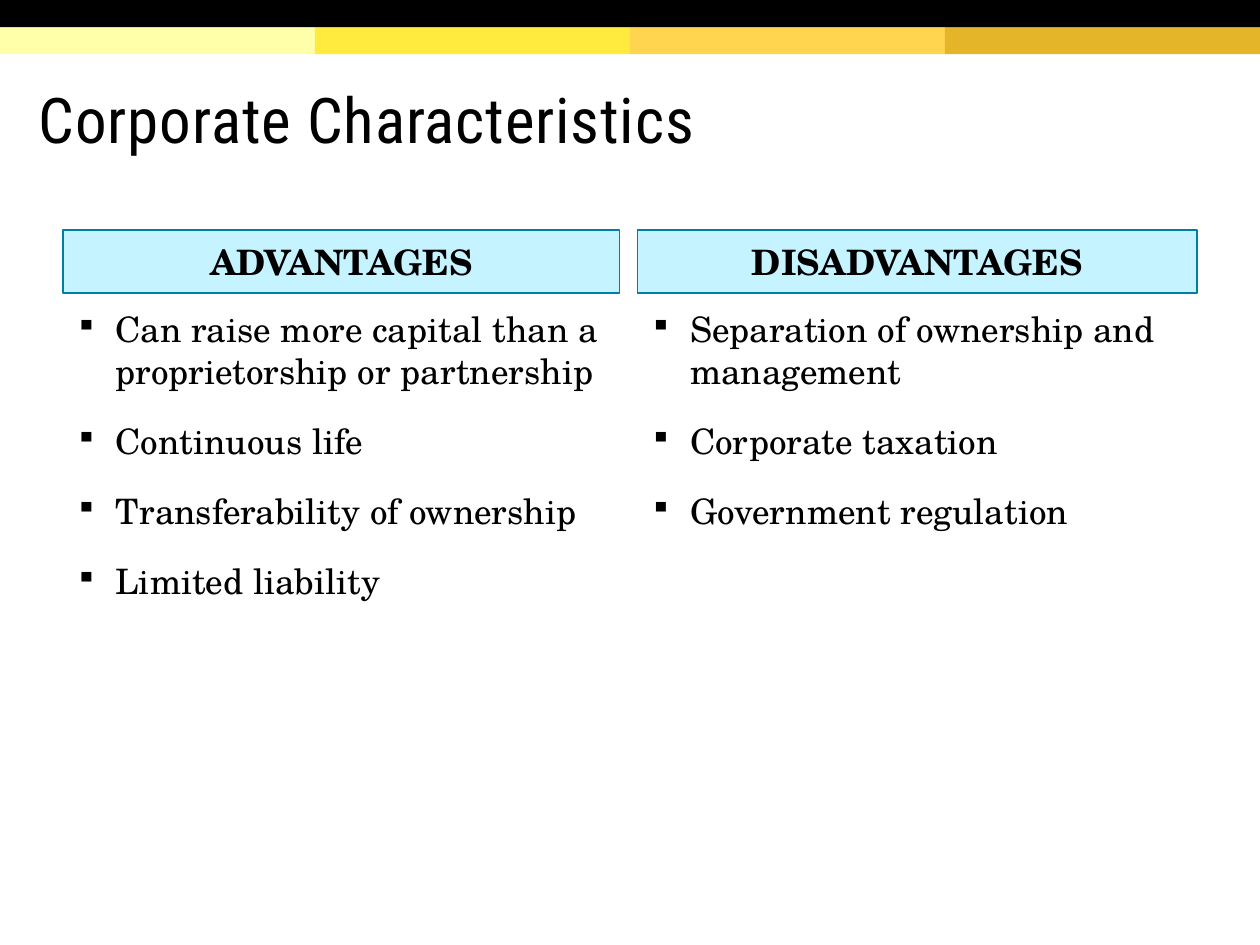
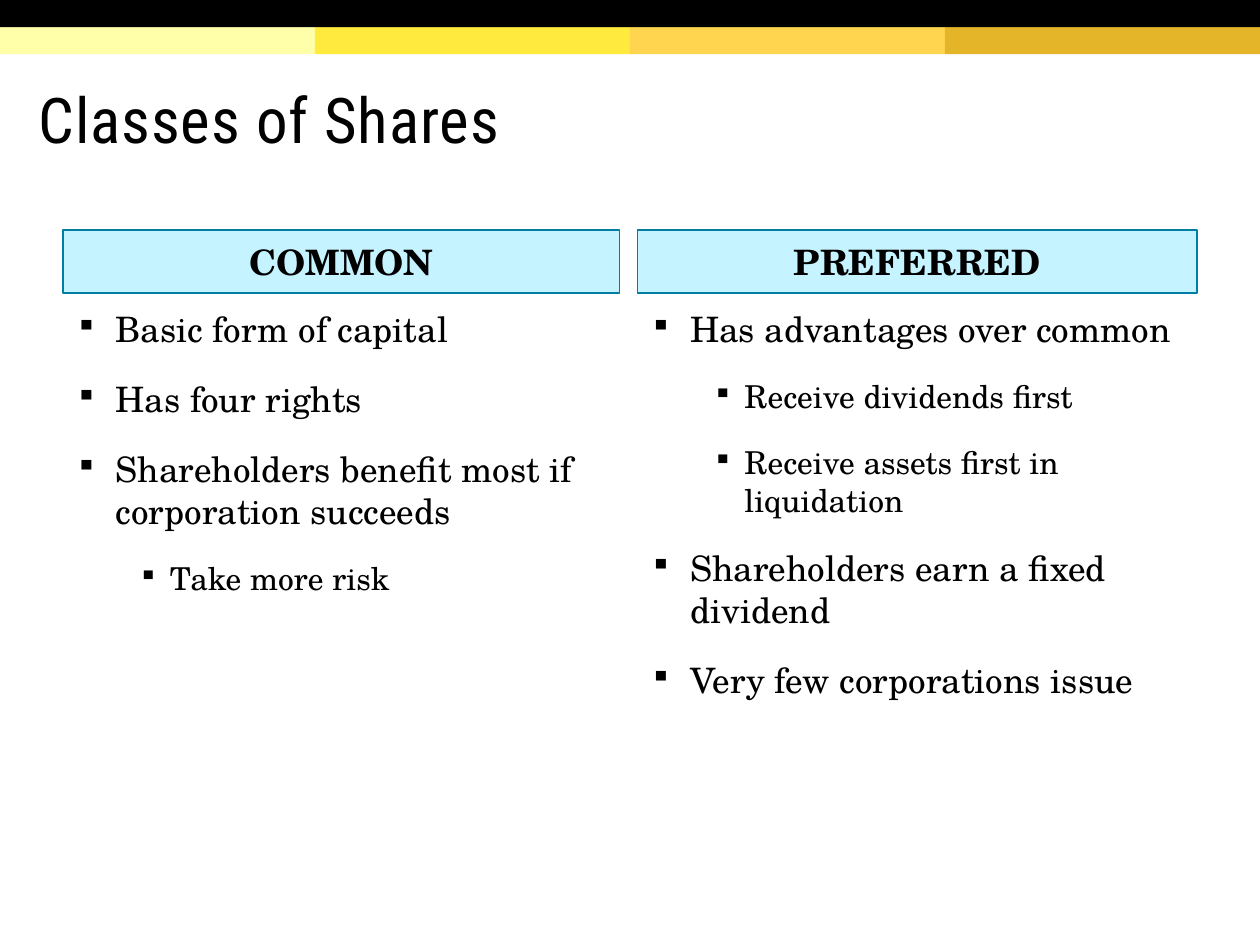
from dataclasses import dataclass
from typing import NamedTuple

from lxml.etree import SubElement
from pptx import Presentation
from pptx.dml.color import RGBColor
from pptx.enum.shapes import MSO_SHAPE
from pptx.enum.text import MSO_ANCHOR, PP_ALIGN
from pptx.oxml.ns import qn
from pptx.shapes.autoshape import Shape
from pptx.slide import Slide
from pptx.text.text import TextFrame, _Paragraph
from pptx.util import Pt


# Theme and page geometry, in points
@dataclass(frozen=True)
class Theme:
    ink: str = "000000"
    heading_fill: str = "C5F3FF"
    heading_line: str = "007FA3"
    stripes: tuple[str, ...] = ("FFFFAA", "FFEA3D", "FFD54F", "E4B429")
    title_font: str = "Roboto Condensed"
    body_font: str = "TeX Gyre Schola"
    title_size: float = 36
    heading_size: float = 20
    title_tracking: float = 0.5
    paragraph_gap: float = 8
    bullet_percent: int = 85


class Box(NamedTuple):
    left: float
    top: float
    width: float
    height: float

    def lengths(self) -> list[Pt]:
        return [Pt(value) for value in self]


class Level(NamedTuple):
    size: float
    margin: float
    hanging: float


class Bullet(NamedTuple):
    text: str
    level: int = 0


class Column(NamedTuple):
    heading: str
    bullets: list[Bullet]


class Topic(NamedTuple):
    title: str
    columns: tuple[Column, Column]


THEME = Theme()
LEVELS = (Level(20, 23, 23), Level(18, 54, 18))
PAGE_WIDTH, PAGE_HEIGHT = 720, 540
BAND_HEIGHT = 15.5
TITLE_BOX = Box(15.1, 33.8, 683.3, 70.6)
COLUMN_SPANS = ((36, 318.2), (364.3, 319.7))
HEADING_TOP, HEADING_HEIGHT = 131.5, 36
LIST_TOP, LIST_HEIGHT = 172.1, 290.2

# Content
TOPICS = (
    Topic("Corporate Characteristics", (
        Column("ADVANTAGES", [
            Bullet("Can raise more capital than a proprietorship or partnership"),
            Bullet("Continuous life"),
            Bullet("Transferability of ownership"),
            Bullet("Limited liability"),
        ]),
        Column("DISADVANTAGES", [
            Bullet("Separation of ownership and management"),
            Bullet("Corporate taxation"),
            Bullet("Government regulation"),
        ]),
    )),
    Topic("Classes of Shares", (
        Column("COMMON", [
            Bullet("Basic form of capital"),
            Bullet("Has four rights"),
            Bullet("Shareholders benefit most if corporation succeeds"),
            Bullet("Take more risk", 1),
        ]),
        Column("PREFERRED", [
            Bullet("Has advantages over common"),
            Bullet("Receive dividends first", 1),
            Bullet("Receive assets first in liquidation", 1),
            Bullet("Shareholders earn a fixed dividend"),
            Bullet("Very few corporations issue"),
        ]),
    )),
)


# Shared building blocks
def add_rectangle(slide: Slide, box: Box, fill: str, line: str | None = None) -> Shape:
    rectangle = slide.shapes.add_shape(MSO_SHAPE.RECTANGLE, *box.lengths())
    rectangle.shadow.inherit = False
    rectangle.fill.solid()
    rectangle.fill.fore_color.rgb = RGBColor.from_string(fill)
    if line:
        rectangle.line.color.rgb = RGBColor.from_string(line)
        rectangle.line.width = Pt(0.75)
    else:
        rectangle.line.fill.background()
    return rectangle


def add_text_area(slide: Slide, box: Box) -> TextFrame:
    frame = slide.shapes.add_textbox(*box.lengths()).text_frame
    frame.word_wrap = True
    return frame


def add_run(paragraph: _Paragraph, text: str, font: str, size: float,
            bold: bool = False, tracking: float = 0) -> None:
    run = paragraph.add_run()
    run.text = text
    run.font.name = font
    run.font.size = Pt(size)
    run.font.bold = bold
    run.font.color.rgb = RGBColor.from_string(THEME.ink)
    if tracking:
        run.font._element.set("spc", str(round(tracking * 100)))


def space_paragraph(paragraph: _Paragraph) -> None:
    paragraph.space_before = paragraph.space_after = Pt(THEME.paragraph_gap)


def mark_bullet(paragraph: _Paragraph, level: Level) -> None:
    properties = paragraph._p.get_or_add_pPr()
    properties.set("marL", str(Pt(level.margin)))
    properties.set("indent", str(Pt(-level.hanging)))
    colour = SubElement(properties, qn("a:buClr"))
    SubElement(colour, qn("a:srgbClr"), val=THEME.ink)
    SubElement(properties, qn("a:buSzPct"), val=str(THEME.bullet_percent * 1000))
    SubElement(properties, qn("a:buChar"), char="▪")


# Slide parts
def draw_bands(slide: Slide) -> None:
    stripe_width = PAGE_WIDTH / len(THEME.stripes)
    for index, colour in enumerate(THEME.stripes):
        add_rectangle(slide, Box(index * stripe_width, BAND_HEIGHT, stripe_width, BAND_HEIGHT), colour)
    add_rectangle(slide, Box(0, 0, PAGE_WIDTH, BAND_HEIGHT), THEME.ink)


def draw_title(slide: Slide, title: str) -> None:
    frame = add_text_area(slide, TITLE_BOX)
    frame.vertical_anchor = MSO_ANCHOR.MIDDLE
    frame.margin_top = Pt(7.2)
    paragraph = frame.paragraphs[0]
    paragraph.line_spacing = 0.85
    add_run(paragraph, title, THEME.title_font, THEME.title_size, tracking=THEME.title_tracking)


def draw_column(slide: Slide, column: Column, left: float, width: float) -> None:
    heading_box = Box(left, HEADING_TOP, width, HEADING_HEIGHT)
    heading = add_rectangle(slide, heading_box, THEME.heading_fill, THEME.heading_line).text_frame
    heading.word_wrap = True
    heading.vertical_anchor = MSO_ANCHOR.MIDDLE
    heading_line = heading.paragraphs[0]
    heading_line.alignment = PP_ALIGN.CENTER
    space_paragraph(heading_line)
    add_run(heading_line, column.heading, THEME.body_font, THEME.heading_size, bold=True)

    points = add_text_area(slide, Box(left, LIST_TOP, width, LIST_HEIGHT))
    for index, bullet in enumerate(column.bullets):
        paragraph = points.add_paragraph() if index else points.paragraphs[0]
        paragraph.level = bullet.level
        level = LEVELS[bullet.level]
        space_paragraph(paragraph)
        mark_bullet(paragraph, level)
        add_run(paragraph, bullet.text, THEME.body_font, level.size)


def main() -> None:
    presentation = Presentation()
    presentation.slide_width, presentation.slide_height = Pt(PAGE_WIDTH), Pt(PAGE_HEIGHT)
    blank_layout = presentation.slide_layouts[6]
    for topic in TOPICS:
        slide = presentation.slides.add_slide(blank_layout)
        draw_bands(slide)
        draw_title(slide, topic.title)
        for column, (left, width) in zip(topic.columns, COLUMN_SPANS):
            draw_column(slide, column, left, width)
    presentation.save("out.pptx")


if __name__ == "__main__":
    main()
